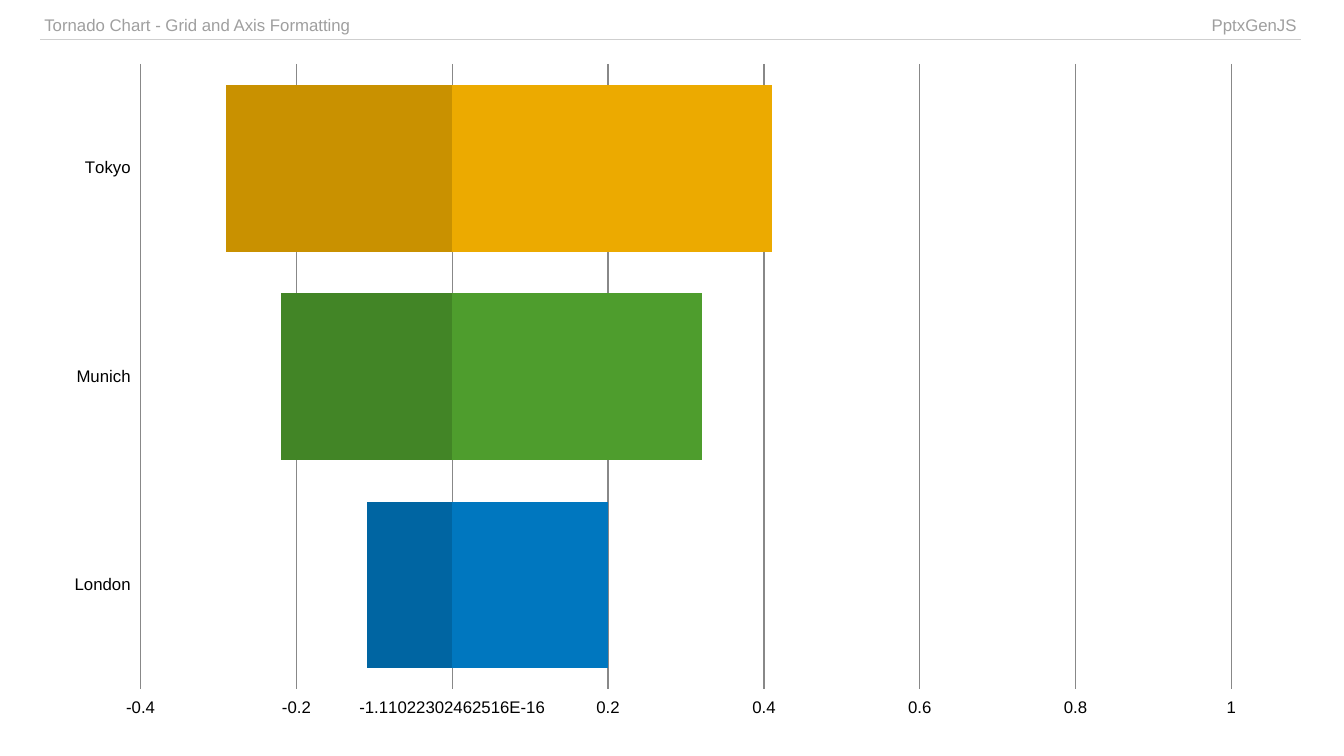
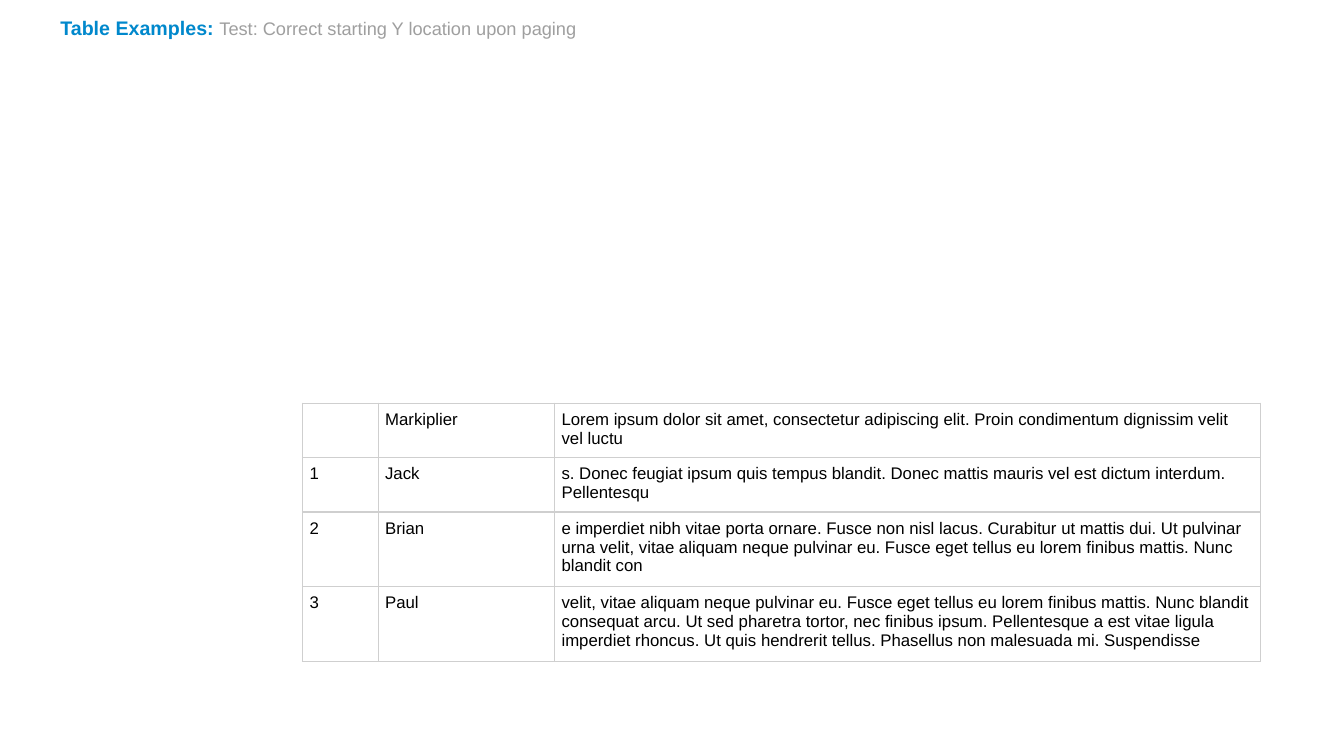
from lxml import etree
from pptx import Presentation
from pptx import util as u
from pptx.chart.data import CategoryChartData
from pptx.dml.color import RGBColor
from pptx.enum import chart as ch, text
from pptx.oxml import parse_xml
from pptx.oxml.ns import nsdecls

COLORS = {
    "black": "000000", "gray": "9F9F9F", "rule": "CFCFCF", "grid": "888888",
    "title": "0088CC",
    "blue": "0077BF", "green": "4E9D2D", "gold": "ECAA00",
    "dark_blue": "0065A2", "dark_green": "428526", "dark_gold": "C99100",
}
FONT = "Arial"
UNIT = 0.25  # one grid column or row, in inches


def grid(*cells):
    return [u.Inches(c * UNIT) for c in cells]


class Deck:
    """Holds the shared style and the current slide."""

    def __init__(self):
        self.prs = Presentation()
        self.prs.slide_width = u.Inches(13.33)
        self.prs.slide_height = u.Inches(7.5)
        self.s = None

    def slide(self):
        self.s = self.prs.slides.add_slide(self.prs.slide_layouts[6])

    def style(self, font, size, color="black", bold=False):
        font.name, font.size, font.bold = FONT, u.Pt(size), bold
        font.color.rgb = RGBColor.from_string(COLORS[color])

    def run(self, p, words, size, color="black", bold=False):
        r = p.add_run()
        r.text = words
        self.style(r.font, size, color, bold)

    def heading(self, x, y, w, h, runs):
        tf = self.s.shapes.add_textbox(*grid(x, y, w, h)).text_frame
        tf.word_wrap = True
        tf.vertical_anchor = text.MSO_ANCHOR.MIDDLE
        for run in runs:
            self.run(tf.paragraphs[0], *run)

    def borders(self, cell, sides):
        pr = cell._tc.get_or_add_tcPr()
        for i, side in enumerate("LRTB"):
            kind = "solidFill" if side in sides else "noFill"
            ln = parse_xml(f'<a:ln{side} {nsdecls("a")} w="12700"><a:{kind}/></a:ln{side}>')
            if side in sides:
                etree.SubElement(ln[0], ln[0].tag.replace("solidFill", "srgbClr"),
                                 val=COLORS["rule"])
            pr.insert(i, ln)

    def table(self, x, y, cols, heights, rows, inset, color="black",
              sides="LRTB", right_cols=()):
        frame = self.s.shapes.add_table(len(rows), len(cols),
                                        *grid(x, y, sum(cols), sum(heights)))
        tbl = frame.table
        tbl.first_row = tbl.horz_banding = False
        for col, width in zip(tbl.columns, grid(*cols)):
            col.width = width
        for row, height, words in zip(tbl.rows, grid(*heights), rows):
            row.height = height
            for c, (cell, value) in enumerate(zip(row.cells, words)):
                cell.margin_left = cell.margin_right = u.Inches(inset)
                cell.margin_top = cell.margin_bottom = u.Inches(inset)
                cell.fill.background()
                self.borders(cell, sides)
                p = cell.text_frame.paragraphs[0]
                if c in right_cols:
                    p.alignment = text.PP_ALIGN.RIGHT
                if value:
                    self.run(p, value, 12, color)

    def tornado(self, x, y, w, h, cats, series):
        data = CategoryChartData(number_format="General")
        data.categories = cats
        for name, values, _ in series:
            data.add_series(name, values)
        chart = self.s.shapes.add_chart(ch.XL_CHART_TYPE.BAR_STACKED,
                                        *grid(x, y, w, h), data).chart
        chart.has_legend = chart.has_title = False
        self.style(chart.font, 10)

        # Bars, one colour per point
        plot = chart.plots[0]
        plot.gap_width, plot.overlap = 25, 100
        plot.vary_by_categories = False
        for ser, (_, _, colors) in zip(plot.series, series):
            ser.invert_if_negative = False
            for i, color in enumerate(colors):
                fill = ser.points[i].format.fill
                fill.solid()
                fill.fore_color.rgb = RGBColor.from_string(COLORS[color])

        # Axes and grid
        for axis in (chart.category_axis, chart.value_axis):
            self.style(axis.tick_labels.font, 12)
            axis.tick_labels.number_format = "General"
            axis.tick_labels.number_format_is_linked = False
            axis.major_tick_mark = ch.XL_TICK_MARK.OUTSIDE
            axis.format.line.fill.background()
        chart.category_axis.tick_label_position = ch.XL_TICK_LABEL_POSITION.LOW
        value_axis = chart.value_axis
        value_axis.maximum_scale, value_axis.major_unit = 1, 0.2
        value_axis.has_major_gridlines = True
        line = value_axis.major_gridlines.format.line
        line.width = u.Pt(1)
        line.color.rgb = RGBColor.from_string(COLORS["grid"])


def main():
    deck = Deck()

    # Tornado chart
    deck.slide()
    deck.table(1.6, 0.5, [36, 14], [1],
               [["Tornado Chart - Grid and Axis Formatting", "PptxGenJS"]],
               0.04, "gray", sides="B", right_cols=(1,))
    deck.tornado(2, 2, 48, 27, ["London", "Munich", "Tokyo"], [
        ("Series 1", (0.2, 0.32, 0.41), ("blue", "green", "gold")),
        ("Series 2", (-0.11, -0.22, -0.29), ("dark_blue", "dark_green", "dark_gold")),
    ])

    # Paged table
    deck.slide()
    deck.heading(2, 0.5, 48, 1.2, [
        ("Table Examples: ", 14, "title", True),
        ("Test: Correct starting Y location upon paging", 13, "gray"),
    ])
    deck.table(12, 16, [3, 7, 28], [2, 2, 2.8, 2.8], [
        ["", "Markiplier",
         "Lorem ipsum dolor sit amet, consectetur adipiscing elit. "
         "Proin condimentum dignissim velit vel luctu"],
        ["1", "Jack",
         "s. Donec feugiat ipsum quis tempus blandit. "
         "Donec mattis mauris vel est dictum interdum. Pellentesqu"],
        ["2", "Brian",
         "e imperdiet nibh vitae porta ornare. Fusce non nisl lacus. "
         "Curabitur ut mattis dui. Ut pulvinar urna velit, vitae aliquam neque "
         "pulvinar eu. Fusce eget tellus eu lorem finibus mattis. Nunc blandit con"],
        ["3", "Paul",
         "velit, vitae aliquam neque pulvinar eu. Fusce eget tellus eu lorem "
         "finibus mattis. Nunc blandit consequat arcu. Ut sed pharetra tortor, "
         "nec finibus ipsum. Pellentesque a est vitae ligula imperdiet rhoncus. "
         "Ut quis hendrerit tellus. Phasellus non malesuada mi. Suspendisse"],
    ], 0.07)

    deck.prs.save("out.pptx")


if __name__ == "__main__":
    main()
